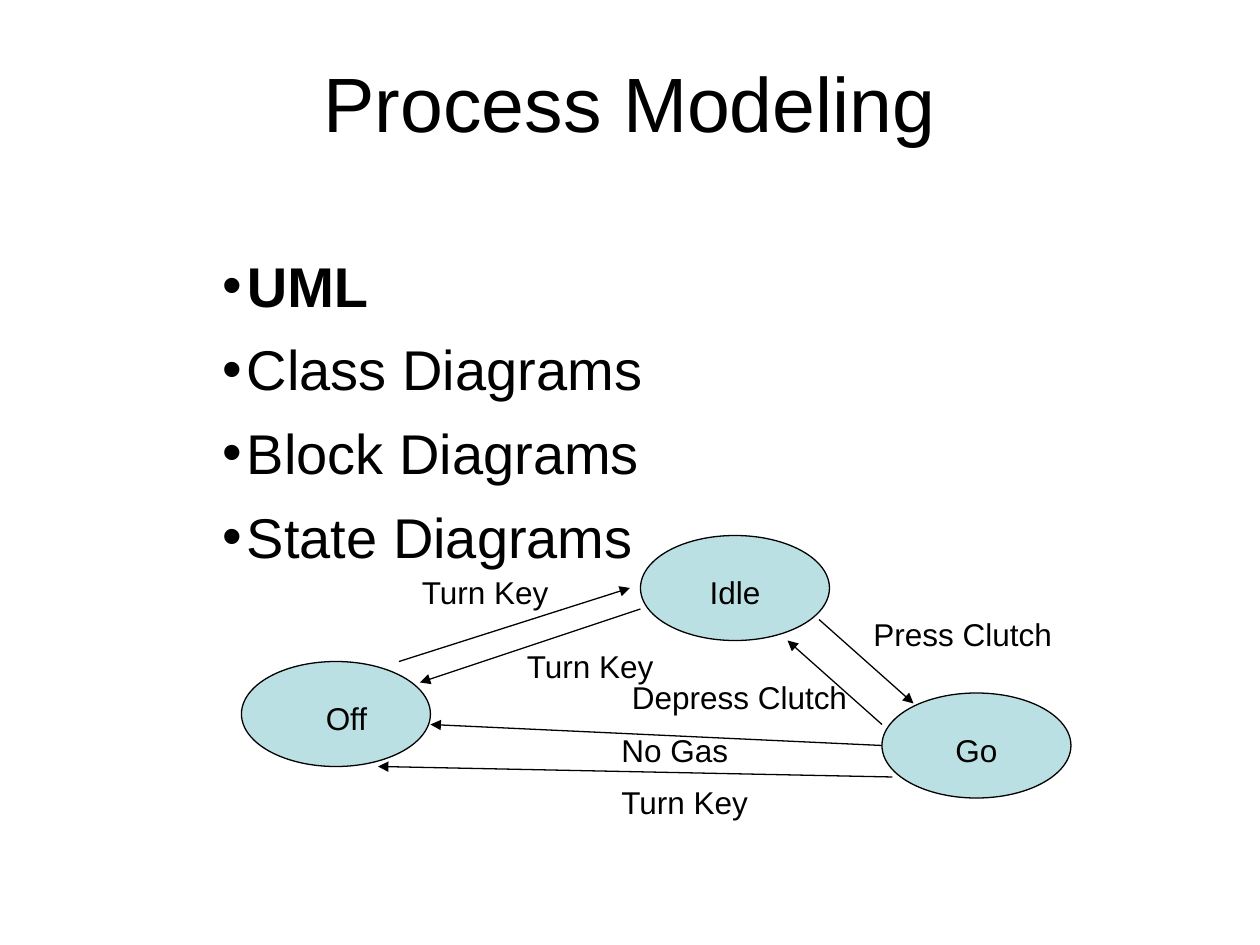
"""Build a slide on process modeling with a state diagram of a car."""
from lxml import etree
from pptx import Presentation
from pptx.dml.color import RGBColor
from pptx.enum import shapes, text
from pptx.oxml.ns import qn
from pptx.util import Pt

BLACK = RGBColor(0, 0, 0)
TEAL = RGBColor(0xBB, 0xE0, 0xE3)
LEFT, MID = text.PP_ALIGN.LEFT, text.PP_ALIGN.CENTER
TOP, CENTER = text.MSO_ANCHOR.TOP, text.MSO_ANCHOR.MIDDLE

TOPICS = ["UML", "Class Diagrams", "Block Diagrams", "State Diagrams"]
STATES = [("Off", 138, 378, 18), ("Idle", 366, 306, 12), ("Go", 504, 396, 12)]
MOVES = [
    ("Turn Key", (234, 324, 90), (228, 378, 360, 336)),
    ("Press Clutch", (492, 348, 126), (468, 354, 522, 402)),
    ("No Gas", (348, 414, 90), (504, 426, 246, 414)),
    ("Depress Clutch", (354, 384, 138), (504, 414, 450, 366)),
    ("Turn Key", (348, 444, 90), (510, 444, 216, 438)),
    ("Turn Key", (294, 366, 90), (366, 348, 240, 390)),
]


def style(para, size, align=LEFT, bold=False):
    """Set the font and alignment of a paragraph."""
    para.alignment = align
    font = para.font
    font.name, font.size, font.bold = "Arial", Pt(size), bold
    font.color.rgb = BLACK


def add_box(slide, x, y, w, h, anchor=TOP):
    """Add an empty wrapping text box and return its frame."""
    frame = slide.shapes.add_textbox(Pt(x), Pt(y), Pt(w), Pt(h)).text_frame
    frame.word_wrap = True
    frame.vertical_anchor = anchor
    return frame


def add_text(slide, words, x, y, w, h=28.8, size=18, align=LEFT, anchor=TOP):
    """Add a text box with one paragraph."""
    para = add_box(slide, x, y, w, h, anchor).paragraphs[0]
    para.text = words
    style(para, size, align)


def add_list(slide, items, x, y, w, h):
    """Add a bulleted list whose first item is bold."""
    frame = add_box(slide, x, y, w, h)
    for rank, item in enumerate(items):
        para = frame.add_paragraph() if rank else frame.paragraphs[0]
        para.text = item
        props = para._p.get_or_add_pPr()
        props.set("marL", str(Pt(14)))
        props.set("indent", str(-Pt(14)))
        etree.SubElement(props, qn("a:buFont"), typeface="Arial")
        etree.SubElement(props, qn("a:buChar"), char="•")
        style(para, 32, bold=rank == 0)
        if rank:
            para.space_before = Pt(9.5)


def add_state(slide, name, x, y, inset):
    """Add an ellipse for a state with its name over it."""
    oval = slide.shapes.add_shape(
        shapes.MSO_SHAPE.OVAL, Pt(x), Pt(y), Pt(108), Pt(60))
    oval.shadow.inherit = False
    oval.fill.solid()
    oval.fill.fore_color.rgb = TEAL
    oval.line.color.rgb = BLACK
    oval.line.width = Pt(0.75)
    add_text(slide, name, x + inset, y + 18, 84, align=MID)


def add_arrow(slide, ends):
    """Add a straight arrow between two points."""
    line = slide.shapes.add_connector(
        shapes.MSO_CONNECTOR.STRAIGHT, *map(Pt, ends))
    line.line.color.rgb = BLACK
    line.line.width = Pt(0.75)
    etree.SubElement(line.line._get_or_add_ln(), qn("a:tailEnd"), type="triangle")
    etree.SubElement(line._element.spPr, qn("a:effectLst"))


def main():
    """Build and save the slide."""
    deck = Presentation()
    deck.slide_width, deck.slide_height = Pt(720), Pt(540)
    slide = deck.slides.add_slide(deck.slide_layouts[6])
    add_text(slide, "Process Modeling", 54, 0, 612, 116, 44, MID, CENTER)
    add_list(slide, TOPICS, 120, 140, 528, 346)
    for state in STATES:
        add_state(slide, *state)
    for name, place, ends in MOVES:
        add_arrow(slide, ends)
        add_text(slide, name, *place)
    deck.save("out.pptx")


if __name__ == "__main__":
    main()
